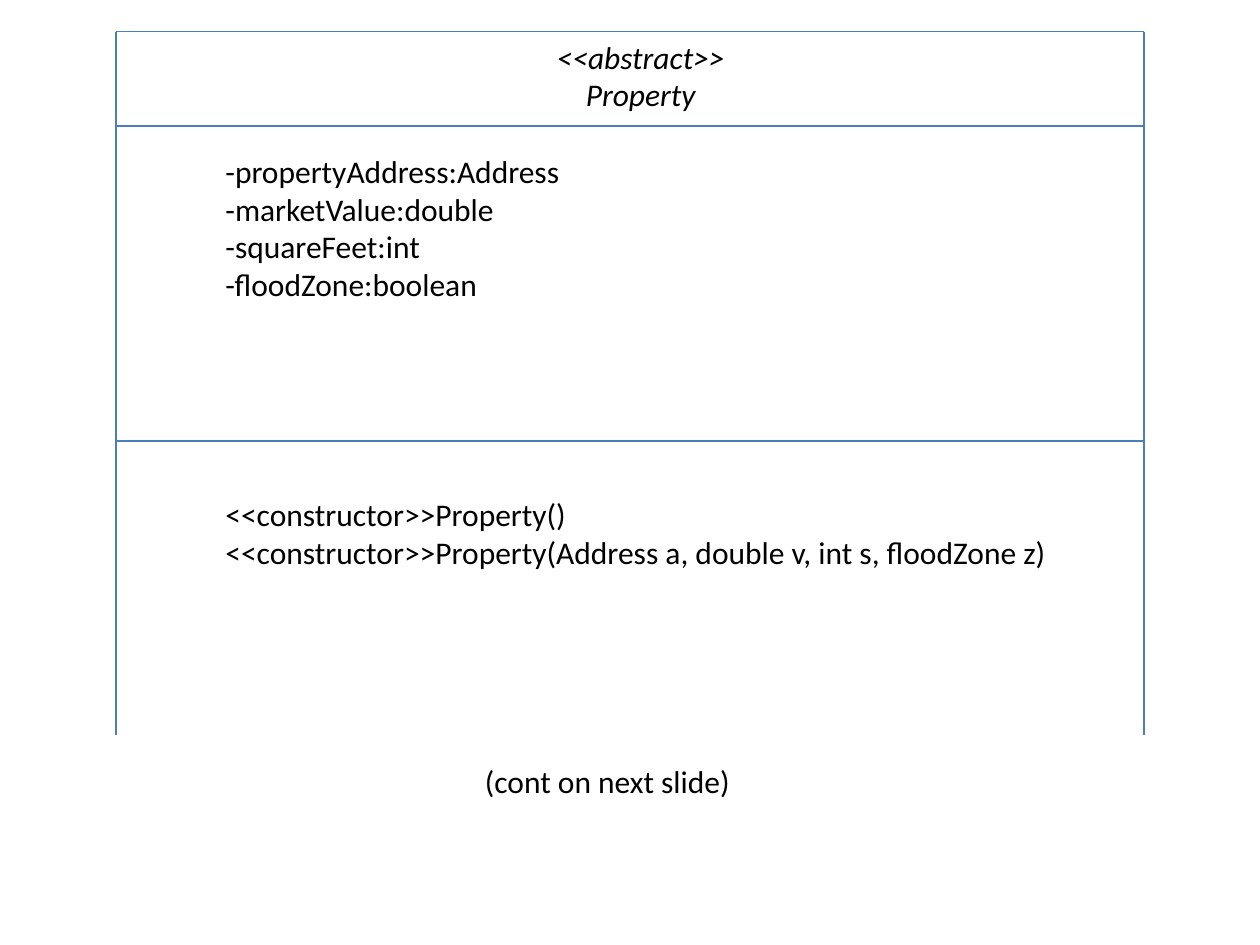
import pptx
import pptx.util
import pptx.dml.color
import pptx.enum.shapes
import pptx.enum.text
import pptx.oxml.ns
from dataclasses import dataclass
from lxml import etree


@dataclass(frozen=True)
class Theme:
    """Colours and type sizes of the slide."""
    ink: str = "000000"
    rule: str = "4B7EBC"
    font: str = "Calibri"
    size: float = 18
    line_height: float = 22
    rule_width: float = 0.75


theme = Theme()
presentation = pptx.Presentation()
presentation.slide_width = pptx.util.Inches(10)
presentation.slide_height = pptx.util.Inches(7.5)
slide = presentation.slides.add_slide(presentation.slide_layouts[6])

ROW = 0.25
LEFT, RIGHT = 0.92, 9.08
TOP, NAME_END, FIELDS_END, BOTTOM = ROW, 4 * ROW, 14 * ROW, 5.83


def add_text(left, top, width, height, lines):
    """Place lines of (text, lines of space before, is heading)."""
    box = slide.shapes.add_textbox(
        *[pptx.util.Inches(n) for n in (left, top, width, height)])
    frame = box.text_frame
    frame.word_wrap = False
    frame.auto_size = pptx.enum.text.MSO_AUTO_SIZE.SHAPE_TO_FIT_TEXT
    for index, (text, gap, heading) in enumerate(lines):
        paragraph = frame.paragraphs[0] if index == 0 else frame.add_paragraph()
        align = pptx.enum.text.PP_ALIGN
        paragraph.alignment = align.CENTER if heading else align.LEFT
        paragraph.space_before = pptx.util.Pt(gap * theme.line_height)
        run = paragraph.add_run()
        run.text = text
        font_format = {"name": theme.font, "size": pptx.util.Pt(theme.size),
                       "italic": heading}
        for attribute, value in font_format.items():
            setattr(run.font, attribute, value)
        run.font.color.rgb = pptx.dml.color.RGBColor.from_string(theme.ink)


def add_rule(x1, y1, x2, y2):
    """Draw one plain line of the class box."""
    rule = slide.shapes.add_connector(
        pptx.enum.shapes.MSO_CONNECTOR.STRAIGHT,
        *[pptx.util.Inches(n) for n in (x1, y1, x2, y2)])
    rule.line.width = pptx.util.Pt(theme.rule_width)
    rule.line.color.rgb = pptx.dml.color.RGBColor.from_string(theme.rule)
    etree.SubElement(rule._element.spPr, pptx.oxml.ns.qn("a:effectLst"))


class_members = [
    ("<<abstract>>", 0, True),
    ("Property", 0, True),
    ("-propertyAddress:Address", 1, False),
    ("-marketValue:double", 0, False),
    ("-squareFeet:int", 0, False),
    ("-floodZone:boolean", 0, False),
    ("<<constructor>>Property()", 5, False),
    ("<<constructor>>Property(Address a, double v, int s, floodZone z)", 0, False),
]
add_text(1.69, TOP, 6.79, 4.34, class_members)
add_text(3.75, 24 * ROW, 2.17, 0.4, [("(cont on next slide)", 0, False)])

for x in (LEFT, RIGHT):
    add_rule(x, TOP, x, BOTTOM)
for y in (TOP, NAME_END, FIELDS_END):
    add_rule(LEFT, y, RIGHT, y)

presentation.save("out.pptx")
